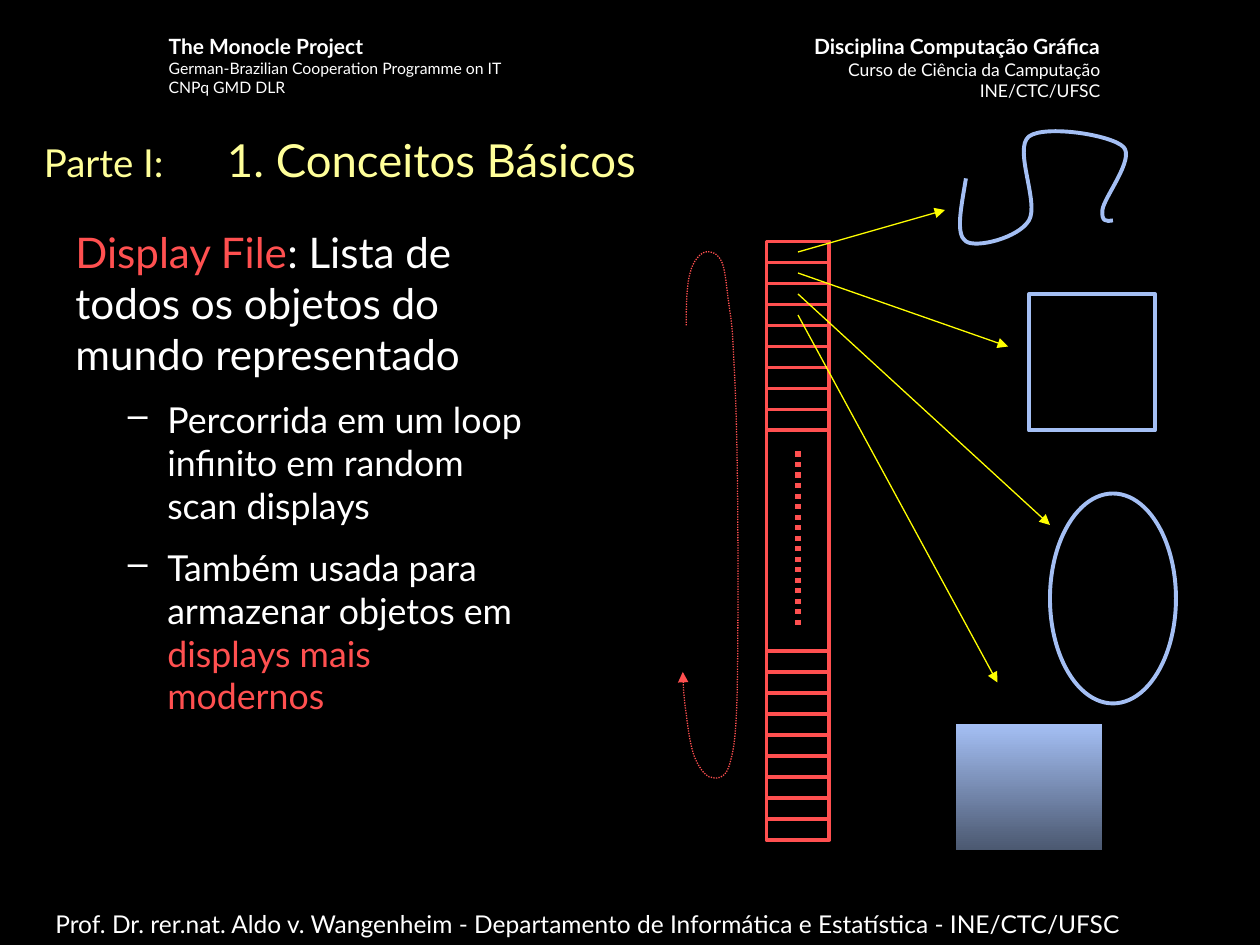
from pptx import Presentation
from pptx.dml.color import RGBColor
from pptx.enum.dml import MSO_LINE
from pptx.enum.shapes import MSO_CONNECTOR, MSO_SHAPE
from pptx.enum.text import MSO_AUTO_SIZE, PP_ALIGN
from pptx.oxml.ns import qn
from pptx.util import Pt
from lxml import etree

RECTANGLE, OVAL = MSO_SHAPE.RECTANGLE, MSO_SHAPE.OVAL
STRAIGHT = MSO_CONNECTOR.STRAIGHT
DOTTED = MSO_LINE.ROUND_DOT
LEFT, CENTER, RIGHT = PP_ALIGN.LEFT, PP_ALIGN.CENTER, PP_ALIGN.RIGHT
FIT_SHAPE, NO_FIT = MSO_AUTO_SIZE.SHAPE_TO_FIT_TEXT, MSO_AUTO_SIZE.NONE
WHITE, RED, BLUE = "FFFFFF", "FF5050", "A4BFF4"
YELLOW, PALE_YELLOW = "FFFF00", "FFFF99"
rgb = RGBColor.from_string

prs = Presentation()
prs.slide_width, prs.slide_height = Pt(720), Pt(540)
slide = prs.slides.add_slide(prs.slide_layouts[6])
slide.background.fill.solid()
slide.background.fill.fore_color.rgb = rgb("000000")
shapes = slide.shapes


def add_text(box, paragraphs, align=LEFT, wrap=True, fit=NO_FIT, before=0):
    """Each paragraph is a list of (text, size, colour, bold) runs."""
    frame = shapes.add_textbox(*map(Pt, box)).text_frame
    frame.word_wrap, frame.auto_size = wrap, fit
    for i, runs in enumerate(paragraphs):
        paragraph = frame.add_paragraph() if i else frame.paragraphs[0]
        paragraph.alignment = align
        paragraph.space_before = Pt(before)
        for text, size, colour, bold in runs:
            run = paragraph.add_run()
            run.text = text
            run.font.name, run.font.size, run.font.bold = "Lato", Pt(size), bold
            run.font.color.rgb = rgb(colour)
    return frame


def style_line(shape, colour, width, dash=None, arrow=False):
    shape.line.color.rgb = rgb(colour)
    shape.line.width = Pt(width)
    if dash:
        shape.line.dash_style = dash
    if arrow:
        ln = shape.line._get_or_add_ln()
        etree.SubElement(ln, qn("a:tailEnd"), type="triangle")


# Header and footer
add_text((438.5, 15.8, 197.3, 46),
         [[("Disciplina Computação Gráfica", 12, WHITE, True)],
          [("Curso de Ciência da Camputação", 10, WHITE, False)],
          [("INE/CTC/UFSC", 10, WHITE, False)]],
         align=RIGHT, wrap=False, fit=FIT_SHAPE)
add_text((89.3, 15.8, 219.6, 43.2),
         [[("The Monocle Project", 12, WHITE, True)],
          [("German-Brazilian Cooperation Programme on IT", 9, WHITE, False)],
          [("CNPq GMD DLR", 9, WHITE, False)]],
         wrap=False, fit=FIT_SHAPE)
add_text((18, 516, 636, 41),
         [[("Prof. Dr. rer.nat. Aldo v. Wangenheim - Departamento de Informática "
            "e Estatística - INE/CTC/UFSC", 14, WHITE, False)]],
         align=CENTER, fit=FIT_SHAPE, before=8.8)

# Title, with a tab after the part number
title = add_text((18, 72, 672, 48),
                 [[("Parte I: \t ", 22, PALE_YELLOW, False),
                   ("1. Conceitos Básicos", 26, PALE_YELLOW, False)]], before=19.5)
title_props = title.paragraphs[0]._p.get_or_add_pPr()
title_props.set("marL", str(Pt(27)))
title_props.set("indent", str(Pt(-27)))
tab_list = etree.SubElement(title_props, qn("a:tabLst"))
etree.SubElement(tab_list, qn("a:tab"), pos=str(Pt(72)), algn="l")

# Definition and its dashed points
definition = add_text(
    (36, 126, 270, 372),
    [[("Display File", 24.1, RED, False),
      (": Lista de todos os objetos do mundo representado", 24.1, WHITE, False)],
     [("Percorrida em um loop infinito em random scan displays", 20.4, WHITE, False)],
     [("Também usada para armazenar objetos em ", 20.4, WHITE, False),
      ("displays mais modernos", 20.4, RED, False)]], before=19.5)
for point in definition.paragraphs[1:]:
    point.level = 1
    point.space_before = Pt(11)
    props = point._p.get_or_add_pPr()
    props.set("marL", str(Pt(52.5)))
    props.set("indent", str(Pt(-22.5)))
    bullet_colour = etree.SubElement(props, qn("a:buClr"))
    etree.SubElement(bullet_colour, qn("a:srgbClr"), val=WHITE)
    etree.SubElement(props, qn("a:buChar"), char="–")

# Display file: overlapping frames, one row apart, form the cells at both ends
ROW = 12
frame_heights = {4: 294, 9: 174}
outlines = [(RECTANGLE, (438, 138 + ROW * i, 36, frame_heights.get(i, 234)), RED)
            for i in range(10)]

# Objects of the represented world
outlines += [(RECTANGLE, (588, 168, 72, 78), BLUE),
             (OVAL, (600, 282, 72, 120), BLUE)]
for kind, box, colour in outlines:
    outline = shapes.add_shape(kind, *map(Pt, box))
    outline.shadow.inherit = False
    outline.fill.background()
    style_line(outline, colour, 2.25)

shaded_square = shapes.add_shape(RECTANGLE, Pt(546), Pt(414), Pt(84), Pt(72))
shaded_square.shadow.inherit = False
shaded_square.line.fill.background()
shaded_square.fill.gradient()
shaded_square.fill.gradient_angle = 270
for stop, colour in zip(shaded_square.fill.gradient_stops, (BLUE, "4B5870")):
    stop.color.rgb = rgb(colour)

# Dotted continuation of the list, then pointers from its first rows
links = [((456, 258), (456, 360), (RED, 3, DOTTED))]
pointer_ends = [(540, 120), (576, 198), (600, 300), (570, 390)]
links += [((456, 144 + ROW * i), end, (YELLOW, 0.75, None, True))
          for i, end in enumerate(pointer_ends)]
for start, end, style in links:
    link = shapes.add_connector(STRAIGHT, *map(Pt, start + end))
    etree.SubElement(link._element.spPr, qn("a:effectLst"))
    style_line(link, *style)
    # The schema wants the line before the effects
    link._element.spPr.append(link._element.spPr.find(qn("a:effectLst")))

# Curves: a start point, then two control points and an end point per segment
open_curve = [
    (552, 102), (549.4, 118), (545.8, 134), (552, 138),
    (558, 142), (582, 136), (588, 126), (594, 116), (579, 85), (588, 78),
    (597, 71.3), (635, 77), (642, 84), (648.7, 90.7), (630.7, 113), (630, 120),
    (629.3, 126.7), (632.2, 126.7), (636, 126)]
refresh_loop = [
    (392.2, 186), (392.2, 174.2), (392.4, 162.7), (394.4, 156),
    (396, 149), (400.3, 144.7), (403.2, 144),
    (406.1, 143.3), (410.4, 144.7), (412.6, 150),
    (414.7, 154.8), (415.4, 166.3), (416.6, 174),
    (417.6, 182.2), (418.3, 182.9), (419, 198),
    (419.8, 213), (420.8, 231), (421.3, 264),
    (421.9, 297.4), (421.9, 367.2), (421.3, 396),
    (420.5, 424.8), (419, 429.8), (416.6, 438),
    (414, 445.7), (409, 445), (405.4, 444),
    (402.5, 442.8), (398.9, 437.8), (396.7, 432),
    (394.6, 426.2), (393.1, 416.2), (392.2, 408),
    (391, 400.3), (390.4, 391.7), (390.2, 384)]
for points, style in [(open_curve, (BLUE, 2.25)),
                      (refresh_loop, (RED, 0.75, DOTTED, True))]:
    corners = [(Pt(x), Pt(y)) for x, y in points]
    builder = shapes.build_freeform(*corners[0])
    builder.add_line_segments(corners[1:], close=False)
    curve = builder.convert_to_shape()
    curve.shadow.inherit = False
    curve.fill.background()
    style_line(curve, *style)
    # Merge every three line segments into one cubic segment
    outline_path = next(curve._element.iter(qn("a:path")))
    steps = outline_path.findall(qn("a:lnTo"))
    for i in range(0, len(steps), 3):
        cubic = etree.SubElement(outline_path, qn("a:cubicBezTo"))
        for step in steps[i:i + 3]:
            cubic.append(step[0])
            outline_path.remove(step)

prs.save("out.pptx")
